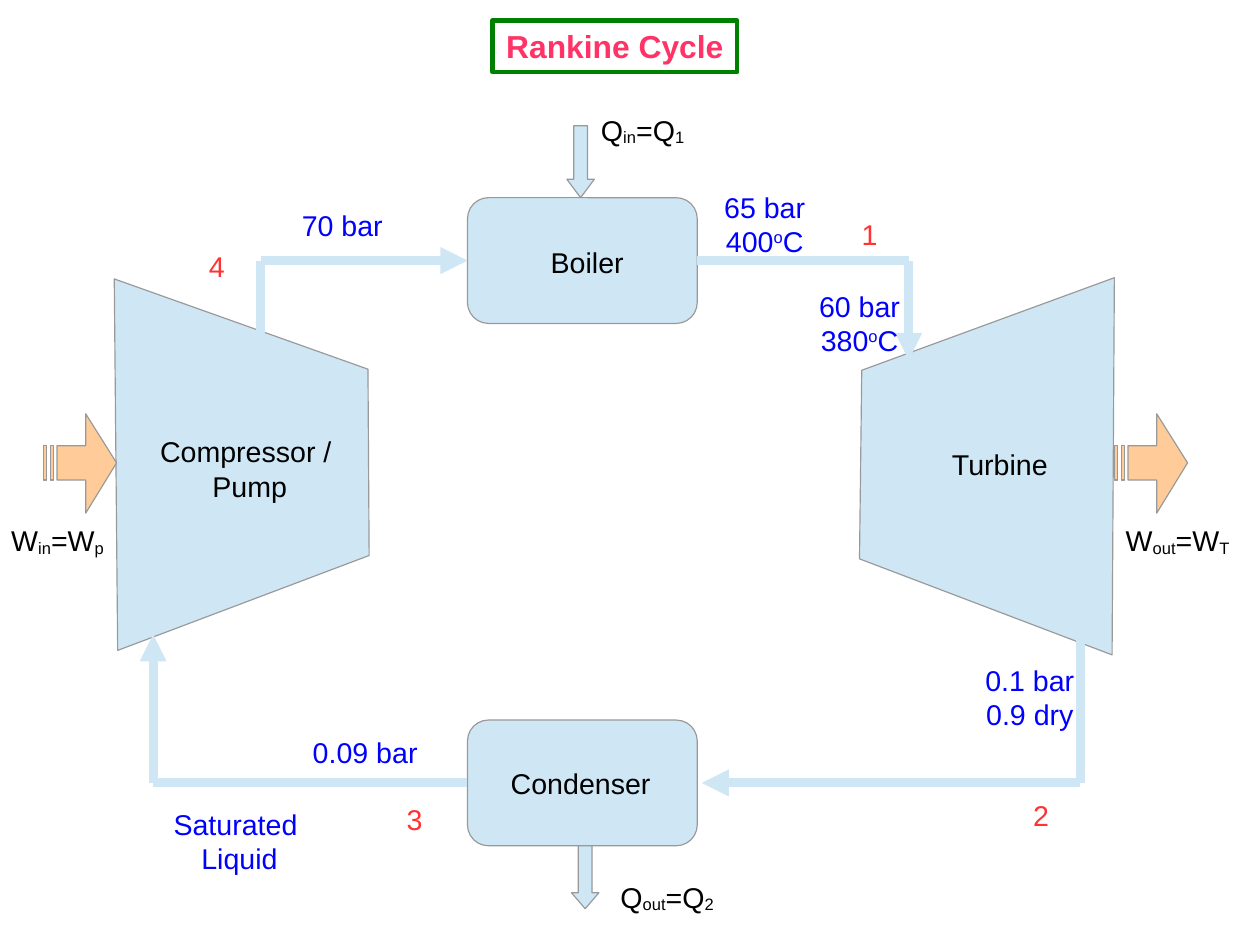
from lxml import etree
from pptx import Presentation
from pptx.dml.color import RGBColor
from pptx.enum.shapes import MSO_CONNECTOR, MSO_SHAPE as SHAPE
from pptx.enum.text import MSO_ANCHOR, MSO_AUTO_SIZE as AUTO, PP_ALIGN as ALIGN
from pptx.oxml.ns import qn
from pptx.util import Inches, Pt

PALE = RGBColor(0xCF, 0xE7, 0xF5)
ORANGE = RGBColor(0xFF, 0xCC, 0x99)
GREY = RGBColor(0x99, 0x99, 0x99)
GREEN = RGBColor(0x00, 0x80, 0x00)
PINK = RGBColor(0xFF, 0x33, 0x66)
BLACK = RGBColor(0x00, 0x00, 0x00)
BLUE = RGBColor(0x00, 0x00, 0xFF)
RED = RGBColor(0xFF, 0x33, 0x33)
FONT = "Arial"
SUB, SUPER = "-8000", "33000"


def paint(sp, color):
    sp.shadow.inherit = False
    sp.fill.solid()
    sp.fill.fore_color.rgb = color
    sp.line.color.rgb = GREY
    sp.line.width = 0


def add_outline(contours, color):
    points = [[(Inches(x), Inches(y)) for x, y in c] for c in contours]
    builder = s.shapes.build_freeform(*points[0][0])
    builder.add_line_segments(points[0][1:])
    for contour in points[1:]:
        builder.move_to(*contour[0])
        builder.add_line_segments(contour[1:])
    paint(builder.convert_to_shape(), color)


# Slide of 28 by 21 cm
prs = Presentation()
prs.slide_width, prs.slide_height = Inches(28 / 2.54), Inches(21 / 2.54)
s = prs.slides.add_slide(prs.slide_layouts[5])

# Framed title
title = s.shapes.title
title.left, title.top = Inches(4.31), Inches(0.18)
title.width, title.height = Inches(2.14), Inches(0.45)
title.line.color.rgb = GREEN
title.line.width = Pt(2.83)
tf = title.text_frame
tf.auto_size = AUTO.NONE
tf.word_wrap = False
tf.vertical_anchor = MSO_ANCHOR.MIDDLE
p = tf.paragraphs[0]
p.alignment = ALIGN.CENTER
r = p.add_run()
r.text = "Rankine Cycle"
r.font.name, r.font.size, r.font.bold = FONT, Pt(20), True
r.font.color.rgb = PINK

# Pump and turbine
for corners in (
    [(1.03, 5.69), (1, 2.44), (3.22, 3.23), (3.23, 4.86)],
    [(9.75, 2.43), (9.73, 5.73), (7.52, 4.89), (7.54, 3.24)],
):
    add_outline([corners + corners[:1]], PALE)

# Boiler and condenser
for top in (1.73, 6.3):
    sp = s.shapes.add_shape(SHAPE.ROUNDED_RECTANGLE, Inches(4.09), Inches(top),
                            Inches(2.01), Inches(1.1))
    paint(sp, PALE)

# Heat arrows: left, top, height, head ratio
for x, y, h, head in ((4.96, 1.1, 0.63, 0.67), (5, 7.4, 0.55, 0.58)):
    sp = s.shapes.add_shape(SHAPE.DOWN_ARROW, Inches(x), Inches(y),
                            Inches(0.24), Inches(h))
    sp.adjustments[1] = head
    paint(sp, PALE)

# Work arrows, each with two stripes behind the body
for x in (0.38, 9.75):
    body = [(0.37, 3.62), (0.64, 4.05), (0.37, 4.49), (0.37, 4.2),
            (0.12, 4.2), (0.12, 3.9), (0.37, 3.9), (0.37, 3.62)]
    stripes = [[(d, 3.9), (d, 4.2), (d + 0.03, 4.2), (d + 0.03, 3.9), (d, 3.9)]
               for d in (0, 0.06)]
    add_outline([[(x + dx, y) for dx, y in c] for c in [body] + stripes], ORANGE)

# Pipes: from, to, arrowhead at the end
for x1, y1, x2, y2, arrow in (
    (2.28, 3.07, 2.28, 2.28, False),
    (2.28, 2.28, 4.09, 2.28, True),
    (6.1, 2.28, 7.95, 2.28, False),
    (7.95, 2.28, 7.95, 3.15, True),
    (9.45, 5.59, 9.45, 6.85, False),
    (9.45, 6.85, 6.14, 6.85, True),
    (4.09, 6.85, 1.34, 6.85, False),
    (1.34, 6.85, 1.34, 5.55, True),
):
    pipe = s.shapes.add_connector(MSO_CONNECTOR.STRAIGHT, Inches(x1), Inches(y1),
                                  Inches(x2), Inches(y2))
    pipe.line.color.rgb = PALE
    pipe.line.width = Pt(5.67)
    if arrow:
        etree.SubElement(pipe.line._get_or_add_ln(), qn("a:tailEnd"), type="triangle")
    etree.SubElement(pipe._element.spPr, qn("a:effectLst"))

# Labels: box, colour, wrap, shift, lines; every second run of a line is shifted
L, C = ALIGN.LEFT, ALIGN.CENTER
for x, y, w, h, color, wrap, shift, lines in (
    (1.3, 3.75, 1.77, 0.66, BLACK, False, None, [(C, "Compressor / "), (C, "Pump")]),
    (8.23, 3.86, 1.04, 0.38, BLACK, False, None, [(L, "Turbine")]),
    (4.37, 6.65, 1.42, 0.38, BLACK, False, None, [(L, "Condenser")]),
    (4.72, 2.09, 0.84, 0.38, BLACK, False, None, [(L, "Boiler")]),
    (5.16, 0.94, 0.97, 0.46, BLACK, True, SUB, [(L, "Q", "in", "=Q", "1")]),
    (5.33, 7.65, 1.06, 0.46, BLACK, True, SUB, [(L, "Q", "out", "=Q", "2")]),
    (9.75, 4.53, 1.18, 0.46, BLACK, True, SUB, [(L, "W", "out", "=W", "T")]),
    (0, 4.53, 1.1, 0.46, BLACK, True, SUB, [(L, "W", "in", "=W", "p")]),
    (6.22, 1.61, 0.94, 0.67, BLUE, True, SUPER, [(C, "65 bar"), (C, "400", "o", "C")]),
    (7.05, 2.48, 0.94, 0.67, BLUE, True, SUPER, [(C, "60 bar"), (C, "380", "o", "C")]),
    (8.46, 5.75, 1.1, 0.66, BLUE, True, None, [(C, "0.1 bar"), (C, "0.9 dry")]),
    (2.61, 6.38, 1.17, 0.47, BLUE, True, None, [(C, "0.09 bar")]),
    (1.42, 7.01, 1.35, 0.66, BLUE, True, None, [(L, "Saturated"), (C, "Liquid")]),
    (2.41, 1.77, 1.17, 0.47, BLUE, True, None, [(C, "70 bar")]),
    (7.44, 1.85, 0.39, 0.39, RED, True, None, [(L, "1")]),
    (8.94, 6.93, 0.39, 0.47, RED, True, None, [(L, "2")]),
    (3.46, 6.97, 0.39, 0.47, RED, True, None, [(L, "3")]),
    (1.73, 2.13, 0.39, 0.39, RED, True, None, [(L, "4")]),
):
    box = s.shapes.add_textbox(Inches(x), Inches(y), Inches(w), Inches(h))
    tf = box.text_frame
    tf.word_wrap = wrap
    tf.auto_size = AUTO.SHAPE_TO_FIT_TEXT
    for i, (align, *runs) in enumerate(lines):
        p = tf.add_paragraph() if i else tf.paragraphs[0]
        p.alignment = align
        for j, text in enumerate(runs):
            r = p.add_run()
            r.text = text
            r.font.name, r.font.size = FONT, Pt(18)
            r.font.color.rgb = color
            if j % 2:
                r.font._element.set("baseline", shift)

prs.save("out.pptx")
